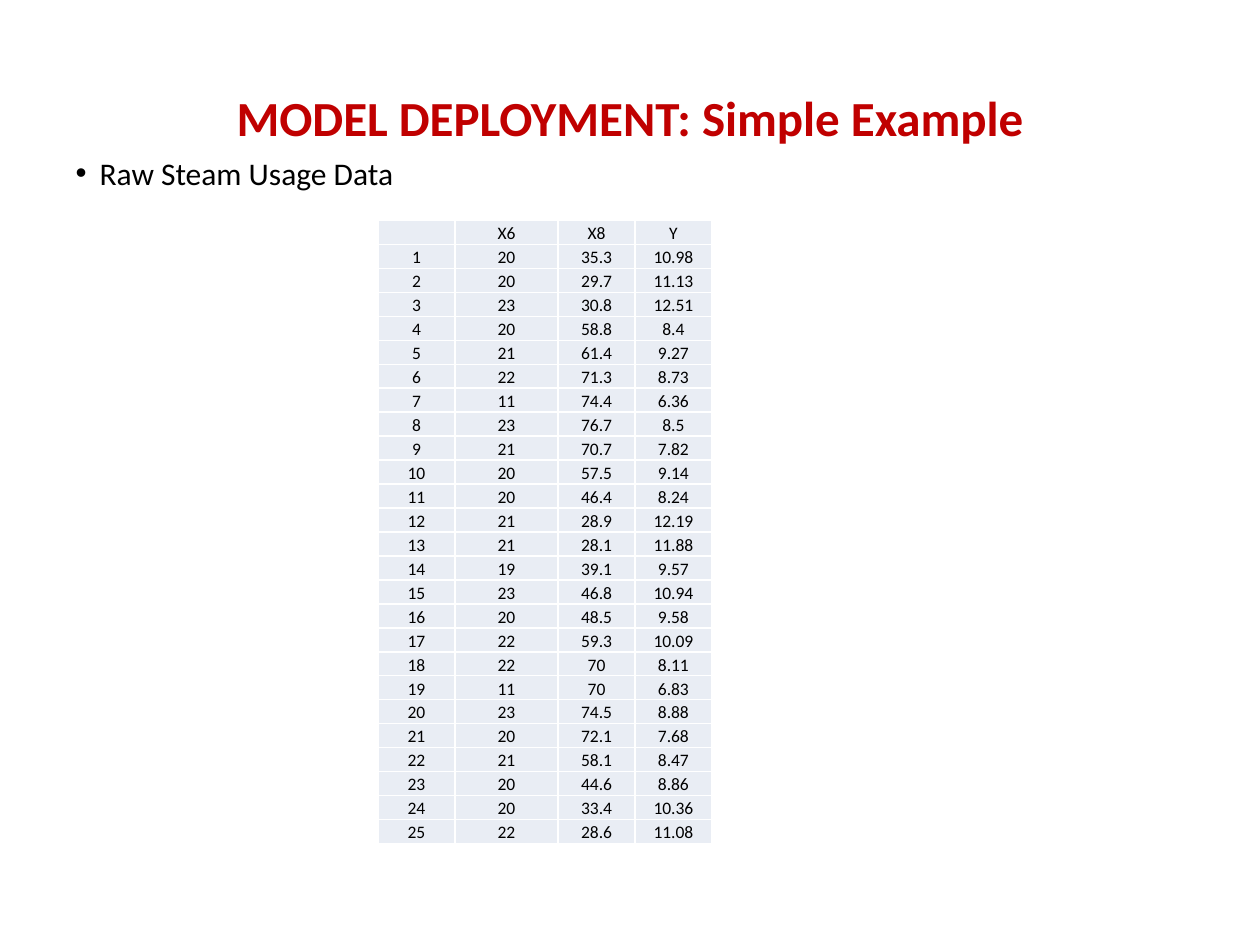
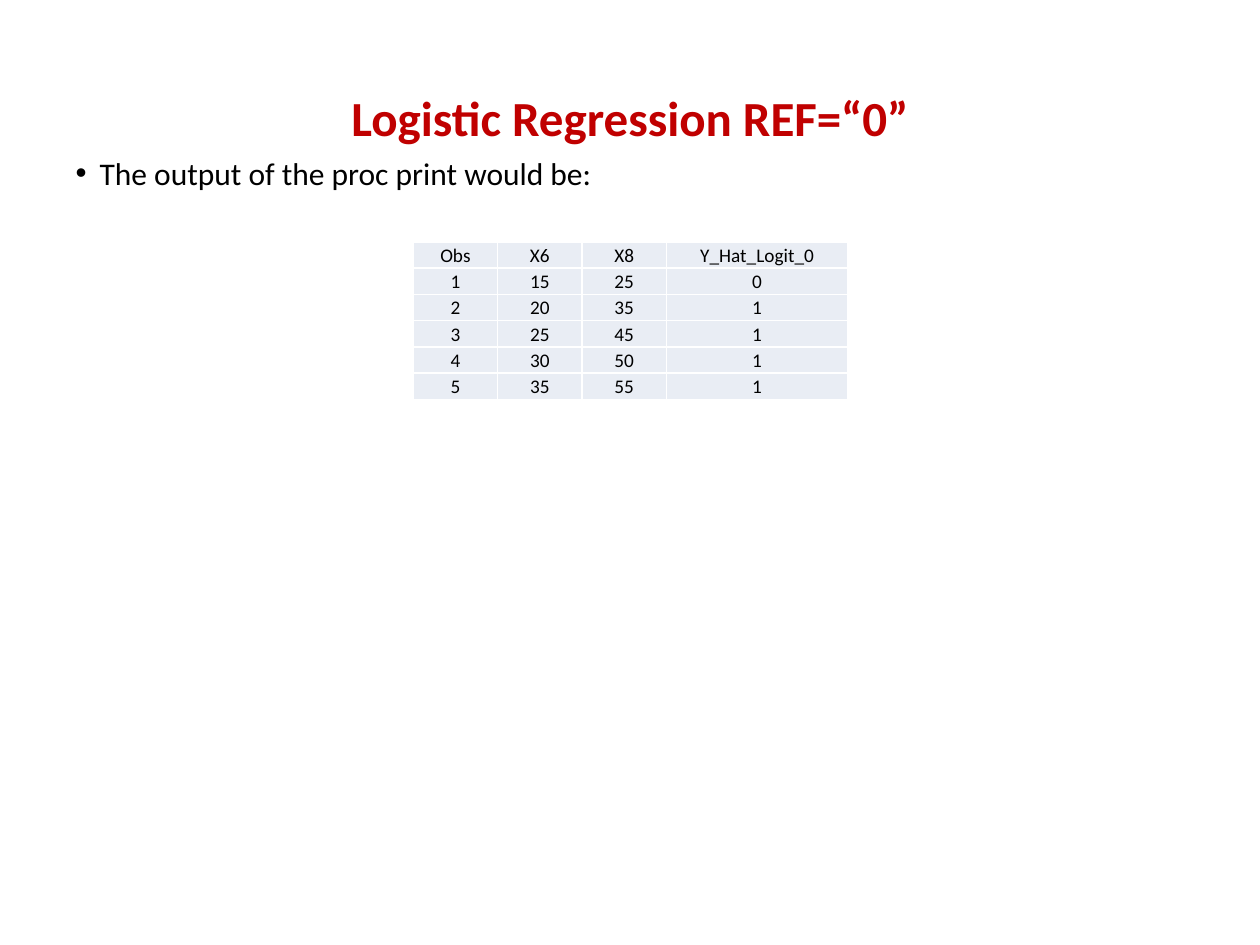
"""Build two slides with a steam usage table and a logistic regression output."""
from lxml import etree
from pptx import Presentation
from pptx import util as u
from pptx.dml.color import RGBColor
from pptx.enum import text
from pptx.oxml.ns import qn

COLORS = {"title": "C00000", "text": "000000", "cell": "E9EDF4", "border": "FFFFFF"}
FONT = "Calibri"
TITLE_BOX = (0.5, 0.3, 9, 1.25)
BODY_BOX = (0.5, 1.17, 9, 0.4)
CELL_MARGINS = {"margin_left": 0.01, "margin_right": 0.01, "margin_top": 0.01, "margin_bottom": 0}

X6 = [20, 20, 23, 20, 21, 22, 11, 23, 21, 20, 20, 21, 21,
      19, 23, 20, 22, 22, 11, 23, 20, 21, 20, 20, 22]
X8 = [35.3, 29.7, 30.8, 58.8, 61.4, 71.3, 74.4, 76.7, 70.7, 57.5, 46.4, 28.9, 28.1,
      39.1, 46.8, 48.5, 59.3, 70, 70, 74.5, 72.1, 58.1, 44.6, 33.4, 28.6]
Y = [10.98, 11.13, 12.51, 8.4, 9.27, 8.73, 6.36, 8.5, 7.82, 9.14, 8.24, 12.19, 11.88,
     9.57, 10.94, 9.58, 10.09, 8.11, 6.83, 8.88, 7.68, 8.47, 8.86, 10.36, 11.08]
STEAM = [("", "X6", "X8", "Y"), *zip(range(1, 26), X6, X8, Y)]
PREDICTED = [
    ("Obs", "X6", "X8", "Y_Hat_Logit_0"),
    (1, 15, 25, 0),
    (2, 20, 35, 1),
    (3, 25, 45, 1),
    (4, 30, 50, 1),
    (5, 35, 55, 1),
]


class Deck:
    """Holds the presentation, its style and the current slide."""

    def __init__(self):
        """Start an empty 10 by 7.5 inch presentation."""
        self.prs = Presentation()
        self.prs.slide_width, self.prs.slide_height = u.Inches(10), u.Inches(7.5)
        self.s = None

    def place(self, sp, box):
        """Move a shape to a box given in inches."""
        for name, value in zip(("left", "top", "width", "height"), box):
            setattr(sp, name, u.Inches(value))

    def run(self, p, content, size, color="text", bold=False):
        """Add one formatted run to a paragraph."""
        r = p.add_run()
        r.text = content
        for name, value in {"name": FONT, "size": u.Pt(size), "bold": bold}.items():
            setattr(r.font, name, value)
        r.font.color.rgb = RGBColor.from_string(COLORS[color])

    def slide(self, title, bullet):
        """Add a slide with its title and one bullet."""
        self.s = self.prs.slides.add_slide(self.prs.slide_layouts[1])
        self.title(title)
        self.bullet(bullet)

    def title(self, content):
        """Fill the title placeholder."""
        sp = self.s.shapes.title
        self.place(sp, TITLE_BOX)
        tf = sp.text_frame
        tf.vertical_anchor = text.MSO_ANCHOR.MIDDLE
        p = tf.paragraphs[0]
        p.alignment = text.PP_ALIGN.CENTER
        self.run(p, content, 28, "title", True)

    def bullet(self, content):
        """Fill the body placeholder with a bulleted line."""
        sp = self.s.placeholders[1]
        self.place(sp, BODY_BOX)
        tf = sp.text_frame
        tf.auto_size = text.MSO_AUTO_SIZE.SHAPE_TO_FIT_TEXT
        p = tf.paragraphs[0]
        p.space_before = u.Pt(0)
        indent = u.Inches(0.19)
        pPr = p._p.get_or_add_pPr()
        pPr.set("marL", str(indent))
        pPr.set("indent", str(-indent))
        etree.SubElement(pPr, qn("a:buFont"), typeface="Arial")
        etree.SubElement(pPr, qn("a:buChar"), char="•")
        self.run(p, content, 18)

    def borders(self, cell):
        """Draw a thin line on all sides of a cell."""
        tcPr = cell._tc.get_or_add_tcPr()
        for side in "LRTB":
            ln = etree.SubElement(tcPr, qn(f"a:ln{side}"), w=str(u.Pt(1)))
            fill = etree.SubElement(ln, qn("a:solidFill"))
            etree.SubElement(fill, qn("a:srgbClr"), val=COLORS["border"])

    def cell(self, cell, value, size, anchor):
        """Format and fill one table cell."""
        self.borders(cell)
        cell.fill.solid()
        cell.fill.fore_color.rgb = RGBColor.from_string(COLORS["cell"])
        cell.vertical_anchor = anchor
        for name, margin in CELL_MARGINS.items():
            setattr(cell, name, u.Inches(margin))
        p = cell.text_frame.paragraphs[0]
        p.alignment = text.PP_ALIGN.CENTER
        if value == "":
            etree.SubElement(p._p, qn("a:endParaRPr"), sz=str(size * 100))
        else:
            self.run(p, str(value), size)

    def table(self, rows, left, top, height, widths, size, anchor):
        """Add a table with equal row heights."""
        box = [u.Inches(v) for v in (left, top, sum(widths), height)]
        table = self.s.shapes.add_table(len(rows), len(widths), *box).table
        for column, width in zip(table.columns, widths):
            column.width = u.Inches(width)
        for i, values in enumerate(rows):
            table.rows[i].height = u.Inches(height / len(rows))
            for j, value in enumerate(values):
                self.cell(table.cell(i, j), value, size, anchor)


deck = Deck()
deck.slide("MODEL DEPLOYMENT: Simple Example", "Raw Steam Usage Data")
deck.table(STEAM, 3, 1.75, 4.95, (0.61, 0.82, 0.61, 0.61), 10, text.MSO_ANCHOR.BOTTOM)

deck.slide("Logistic Regression REF=“0”", "The output of the proc print would be:")
deck.table(PREDICTED, 3.28, 1.92, 1.25, (0.67, 0.67, 0.67, 1.44), 11, text.MSO_ANCHOR.MIDDLE)

deck.prs.save("out.pptx")
